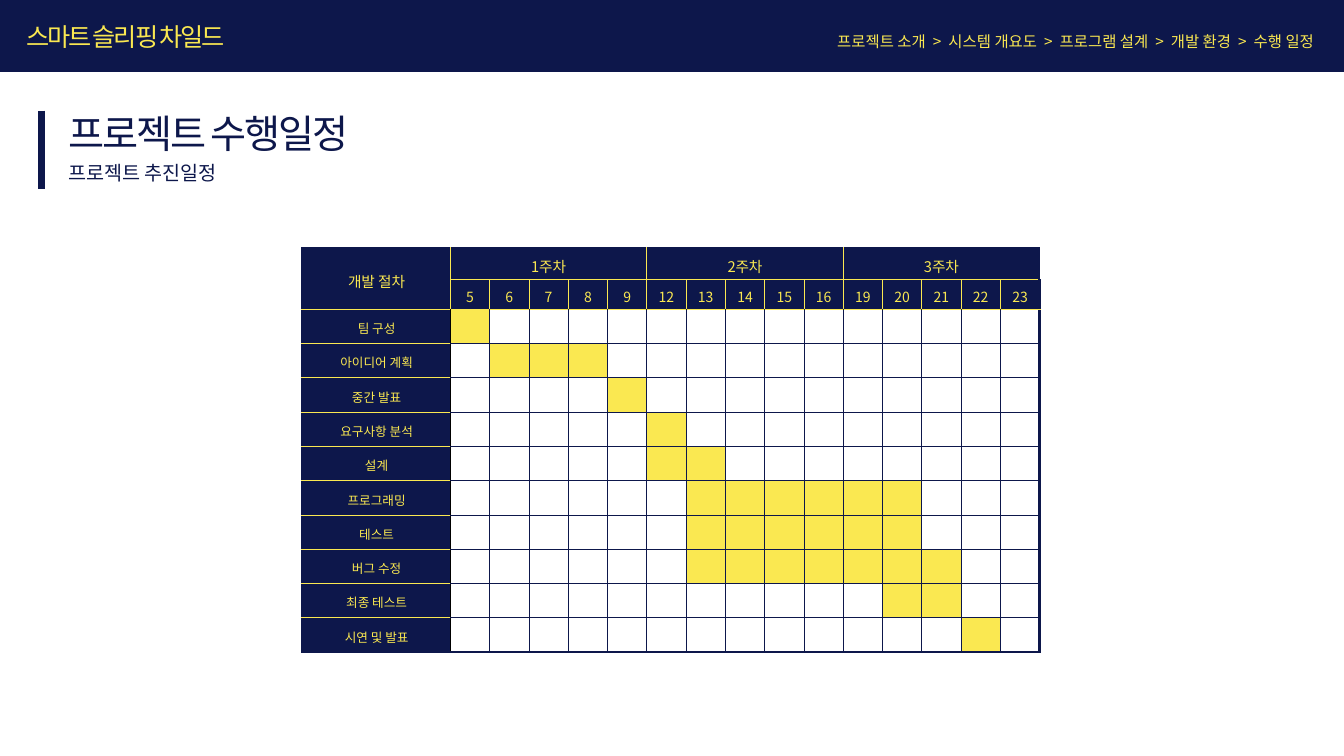
from collections import namedtuple

from lxml import etree
from pptx import Presentation
from pptx.dml.color import RGBColor
from pptx.enum.shapes import MSO_CONNECTOR as Connector, MSO_SHAPE as Shape
from pptx.enum.text import MSO_ANCHOR as Anchor, MSO_AUTO_SIZE as AutoSize, PP_ALIGN as Align
from pptx.oxml.ns import qn
from pptx.util import Cm, Pt

NAVY = RGBColor(0x0D, 0x17, 0x4B)
YELLOW = RGBColor(0xFA, 0xE8, 0x51)
WHITE = RGBColor(0xFF, 0xFF, 0xFF)
BLACK = RGBColor(0, 0, 0)
FONT = "Noto Sans CJK KR"

Box = namedtuple("Box", "left top width height")  # centimetres

MENU = ["프로젝트 소개", "시스템 개요도", "프로그램 설계", "개발 환경", "수행 일정"]
WEEKS = ["1주차", "2주차", "3주차"]
DAYS = [5, 6, 7, 8, 9, 12, 13, 14, 15, 16, 19, 20, 21, 22, 23]
DAYS_PER_WEEK = 5
HEADER_ROWS = 2
# Each task with its first and last day
TASKS = [
    ("팀 구성", 5, 5),
    ("아이디어 계획", 6, 8),
    ("중간 발표", 9, 9),
    ("요구사항 분석", 12, 12),
    ("설계", 12, 13),
    ("프로그래밍", 13, 20),
    ("테스트", 13, 20),
    ("버그 수정", 13, 21),
    ("최종 테스트", 20, 21),
    ("시연 및 발표", 22, 22),
]


def place(shape, box):
    shape.left, shape.top, shape.width, shape.height = (Cm(length) for length in box)


def write(frame, text, size, color, spacing=0):
    frame.text = text
    para = frame.paragraphs[0]
    span = para.runs[0]
    span.font.size = Pt(size)
    span.font.color.rgb = color
    span.font.name = FONT
    properties = span.font._element
    etree.SubElement(properties, qn("a:ea"), typeface=FONT)
    if spacing:
        properties.set("spc", str(int(spacing * 100)))
    return para


def format_label(shape, text, size, color, spacing=0, anchor=Anchor.MIDDLE):
    frame = shape.text_frame
    frame.word_wrap = True
    frame.auto_size = AutoSize.NONE
    frame.vertical_anchor = anchor
    write(frame, text, size, color, spacing).alignment = Align.LEFT


def add_label(slide, box, *style, **options):
    label = slide.shapes.add_textbox(*(Cm(length) for length in box))
    format_label(label, *style, **options)


# Top band with the project name and the section path
def add_header(slide, box):
    band = slide.shapes.add_shape(Shape.RECTANGLE, *(Cm(length) for length in box))
    band.shadow.inherit = False
    band.fill.solid()
    band.fill.fore_color.rgb = NAVY
    band.line.fill.background()
    add_label(slide, Box(box.left + 0.41, box.top + 0.3, 7.54, 1.22),
              "스마트 슬리핑 차일드", 18, YELLOW, spacing=-1.5)
    add_label(slide, Box(box.left + 20.85, box.top + 0.69, 12.62, 0.74),
              "  >  ".join(MENU), 11, YELLOW, anchor=Anchor.TOP)


# Title and subtitle beside a vertical bar
def add_heading(slide, box):
    bar = slide.shapes.add_connector(
        Connector.STRAIGHT, Cm(box.left), Cm(box.top),
        Cm(box.left), Cm(box.top + box.height))
    bar.line.color.rgb = NAVY
    bar.line.width = Pt(5)
    etree.SubElement(bar._element.spPr, qn("a:effectLst"))

    title = slide.shapes.title
    place(title, Box(box.left + 0.43, box.top - 0.3, box.width, 1.7))
    format_label(title, "프로젝트 수행일정", 28, NAVY, spacing=-1.5)
    add_label(slide, Box(box.left + 0.43, box.top + 1.04, box.width, 1.02),
              "프로젝트 추진일정", 14, NAVY)


# Border rules of the schedule: colour and width of an edge
def vertical_edge(row, edge, columns):
    if edge in (0, columns):
        return NAVY, 2.25
    if row >= HEADER_ROWS:
        return (BLACK, 0.28) if edge == 1 else (NAVY, 0.5)
    starts_week = edge % DAYS_PER_WEEK == 1
    return (YELLOW if row == 1 or starts_week else NAVY), 0.5


def horizontal_edge(edge, column, rows):
    if edge in (0, rows):
        return NAVY, 2.25
    if edge == HEADER_ROWS:
        return YELLOW, 1
    in_header = edge < HEADER_ROWS
    return (YELLOW if in_header != (column == 0) else NAVY), 0.5


def set_borders(cell, edges):
    properties = cell._tc.get_or_add_tcPr()
    for position, (side, (color, width)) in enumerate(zip("LRTB", edges)):
        line = etree.Element(qn(f"a:ln{side}"), w=str(Pt(width)))
        fill = etree.SubElement(line, qn("a:solidFill"))
        etree.SubElement(fill, qn("a:srgbClr"), val=str(color))
        properties.insert(position, line)


def cell_text(row, column):
    if row == 0:
        if column == 0:
            return "개발 절차", 10.5
        week, day = divmod(column - 1, DAYS_PER_WEEK)
        return (WEEKS[week] if day == 0 else ""), 10.5
    if row == 1:
        return (str(DAYS[column - 1]) if column else ""), 10
    return (TASKS[row - HEADER_ROWS][0] if column == 0 else ""), 9


def fill_cell(cell, row, column):
    if row < HEADER_ROWS or column == 0:
        color = NAVY
    else:
        _, first, last = TASKS[row - HEADER_ROWS]
        color = YELLOW if first <= DAYS[column - 1] <= last else WHITE
    cell.fill.solid()
    cell.fill.fore_color.rgb = color


# Schedule table
def add_schedule(slide, box):
    rows, columns = len(TASKS) + HEADER_ROWS, len(DAYS) + 1
    table = slide.shapes.add_table(
        rows, columns, *(Cm(length) for length in box)).table
    table.first_row = table.horz_banding = False

    header_heights = [0.77, 0.75]
    task_height = (box.height - sum(header_heights)) / len(TASKS)
    for row, height in zip(table.rows, header_heights + [task_height] * len(TASKS)):
        row.height = Cm(height)
    day_width = 0.99
    for index, column in enumerate(table.columns):
        column.width = Cm(day_width if index else box.width - day_width * len(DAYS))

    for row in range(rows):
        for column in range(columns):
            cell = table.cell(row, column)
            cell.margin_left = cell.margin_right = Cm(0.18)
            cell.margin_top = cell.margin_bottom = Cm(0.05)
            cell.vertical_anchor = Anchor.MIDDLE
            text, size = cell_text(row, column)
            if text:
                para = write(cell.text_frame, text, size, YELLOW)
                para.alignment = Align.CENTER
                para.line_spacing = 1.2
            else:
                para = cell.text_frame.paragraphs[0]
                etree.SubElement(para._p, qn("a:endParaRPr"), sz=str(size * 100))
            fill_cell(cell, row, column)
            set_borders(cell, [
                vertical_edge(row, column, columns),
                vertical_edge(row, column + 1, columns),
                horizontal_edge(row, column, rows),
                horizontal_edge(row + 1, column, rows)])

    table.cell(0, 0).merge(table.cell(1, 0))
    for first in range(1, columns, DAYS_PER_WEEK):
        table.cell(0, first).merge(table.cell(0, first + DAYS_PER_WEEK - 1))


def main():
    deck = Presentation()
    deck.slide_width, deck.slide_height = Cm(33.87), Cm(19.05)
    page = deck.slides.add_slide(deck.slide_layouts[5])
    add_schedule(page, Box(7.63, 6.27, 18.57, 10.16))
    add_heading(page, Box(1.04, 2.79, 8.56, 1.98))
    add_header(page, Box(0, 0, 33.87, 1.81))
    deck.save("out.pptx")


if __name__ == "__main__":
    main()
